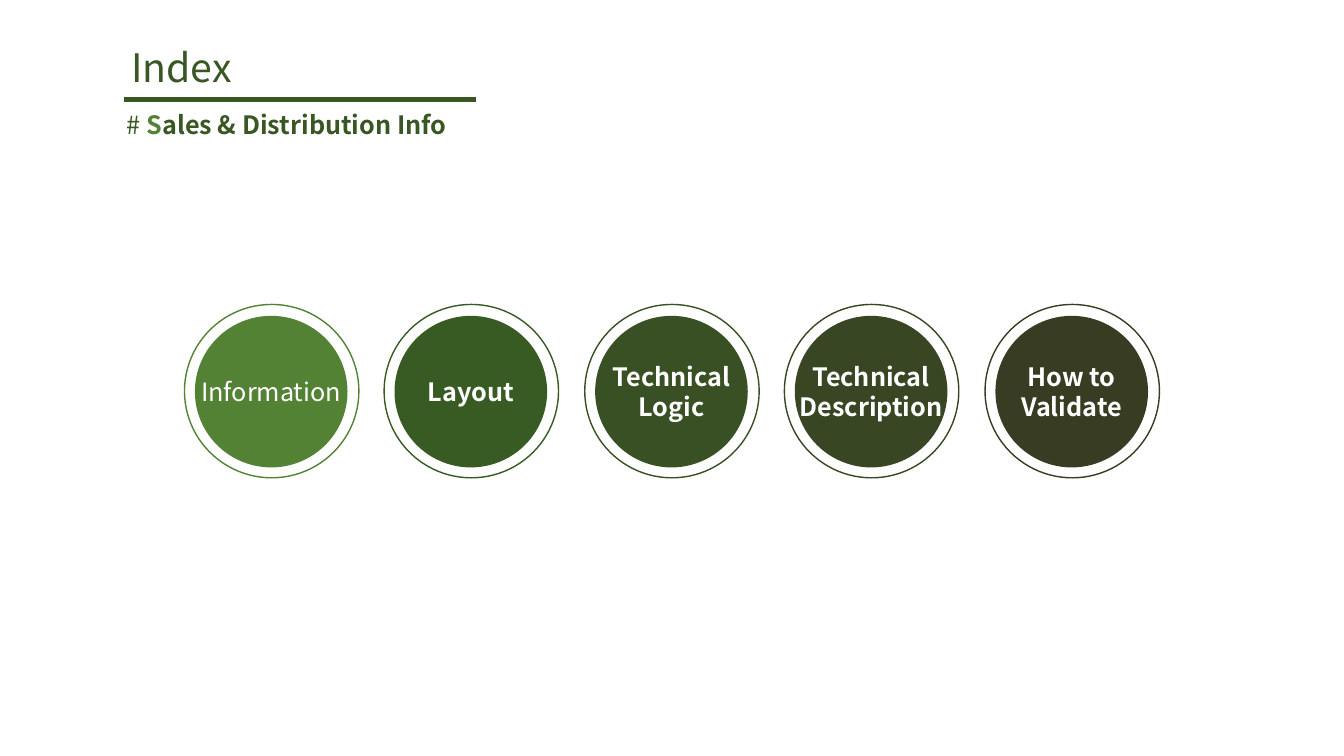
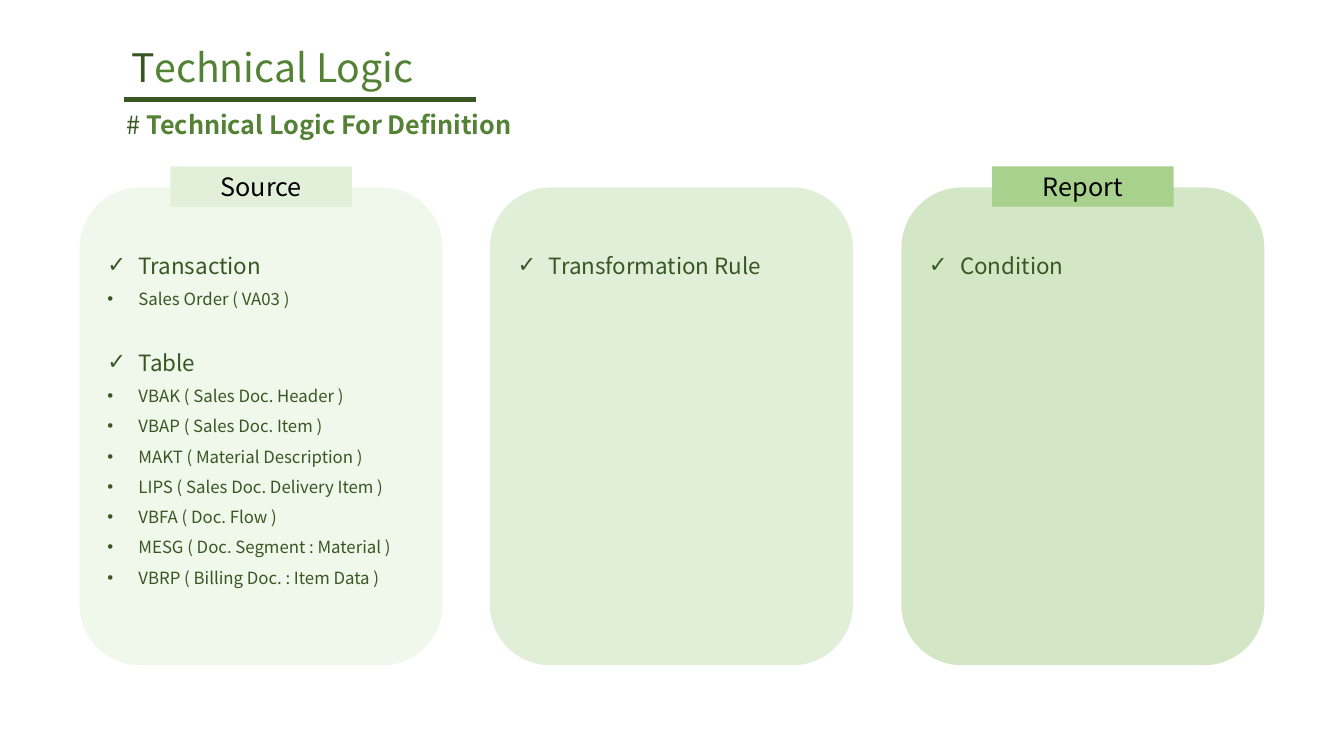
from lxml.etree import SubElement
from pptx import Presentation
from pptx.dml.color import RGBColor
from pptx.enum.shapes import MSO_CONNECTOR, MSO_SHAPE
from pptx.enum.text import MSO_ANCHOR, MSO_AUTO_SIZE, PP_ALIGN
from pptx.oxml.ns import qn
from pptx.util import Emu, Pt

FONT = "Noto Sans CJK KR"
DARK, GREEN, WHITE, BLACK = "385723", "548235", "FFFFFF", "000000"


def px(n):
    """100 px to the inch."""
    return Emu(n * 9144)


def hue(code):
    return RGBColor.from_string(code)


class Deck:
    def __init__(self, wide, high):
        self.prs = Presentation()
        self.prs.slide_width, self.prs.slide_height = px(wide), px(high)
        self.slide = None

    def style(self, run, size, color, bold=False):
        font = run.font
        font.name, font.size, font.bold = FONT, Pt(size), bold
        font.color.rgb = hue(color)

    def line_up(self, frame, parts, size):
        """Fill one left-aligned line with (text, colour, bold) parts."""
        frame.word_wrap = True
        frame.auto_size = MSO_AUTO_SIZE.NONE
        frame.vertical_anchor = MSO_ANCHOR.TOP
        para = frame.paragraphs[0]
        para.alignment = PP_ALIGN.LEFT
        for text, color, bold in parts:
            run = para.add_run()
            run.text = text
            self.style(run, size, color, bold)

    def page(self, title, sub):
        """Start a slide with its title, rule and subtitle."""
        self.slide = self.prs.slides.add_slide(self.prs.slide_layouts[5])
        head = self.slide.shapes.title
        head.left, head.top, head.width, head.height = map(px, (120, 38, 420, 57))
        self.line_up(head.text_frame, title, 28)
        self.rule(123, 472, 99)
        box = self.slide.shapes.add_textbox(*map(px, (116, 104, 450, 40)))
        self.line_up(box.text_frame, [("# ", DARK, False)] + sub, 18)

    def rule(self, left, right, y):
        line = self.slide.shapes.add_connector(
            MSO_CONNECTOR.STRAIGHT, px(left), px(y), px(right), px(y))
        line.line.color.rgb = hue(DARK)
        line.line.width = Pt(3.75)
        SubElement(line._element.spPr, qn("a:effectLst"))

    def shape(self, kind, area, fill=None, line=None, alpha=None):
        item = self.slide.shapes.add_shape(kind, *map(px, area))
        item.shadow.inherit = False
        if fill:
            item.fill.solid()
            item.fill.fore_color.rgb = hue(fill)
            if alpha:
                tint = item._element.spPr.find(".//" + qn("a:srgbClr"))
                SubElement(tint, qn("a:alpha"), val=str(alpha * 1000))
        else:
            item.fill.background()
        if line:
            item.line.color.rgb = hue(line)
            item.line.width = Pt(1)
        else:
            item.line.fill.background()
        return item

    def center(self, item, text, color, bold=False):
        frame = item.text_frame
        frame.text = text
        frame.word_wrap = False
        frame.vertical_anchor = MSO_ANCHOR.MIDDLE
        for para in frame.paragraphs:
            para.alignment = PP_ALIGN.CENTER
            for run in para.runs:
                self.style(run, 18, color, bold)

    def disc(self, left, top, text, color, bold):
        """A filled circle inside a thin ring."""
        self.shape(MSO_SHAPE.OVAL, (left, top, 173, 172), line=color)
        disc = self.shape(MSO_SHAPE.OVAL, (left + 11, top + 12, 150, 149), color, color)
        self.center(disc, text, WHITE, bold)

    def label(self, left, top, text, color):
        self.center(self.shape(MSO_SHAPE.RECTANGLE, (left, top, 180, 40), color), text, BLACK)

    def panel(self, left, top, color, groups):
        """A round panel of checked heads, each with dotted items."""
        item = self.shape(MSO_SHAPE.FLOWCHART_ALTERNATE_PROCESS,
                          (left, top, 360, 474), color, alpha=50)
        frame = item.text_frame
        frame.word_wrap = True
        frame.vertical_anchor = MSO_ANCHOR.TOP
        frame.margin_top = px(33)
        rows = []
        for i, (head, *items) in enumerate(groups):
            rows.append((head, "✓", 16, 19 if i else 0))
            rows += [(text, "•", 12, 0) for text in items]
        frame.text = "\n".join(row[0] for row in rows)
        for para, (_, mark, size, gap) in zip(frame.paragraphs, rows):
            para.alignment = PP_ALIGN.LEFT
            para.line_spacing = 1.5
            para.space_before = Pt(gap)
            self.style(para.runs[0], size, DARK)
            self.bullet(para, mark)

    def bullet(self, para, mark):
        props = para._p.get_or_add_pPr()
        props.set("marL", str(px(31)))
        props.set("indent", str(-px(31)))
        SubElement(props, qn("a:buFont"), typeface="Arial")
        SubElement(props, qn("a:buChar"), char=mark)


def main():
    deck = Deck(1333, 750)

    # Index: a row of five discs
    deck.page([("Index", DARK, False)],
              [("S", GREEN, True), ("ales & Distribution Info", DARK, True)])
    discs = [
        ("Information", GREEN, False),
        ("Layout", "385A23", True),
        ("Technical\nLogic", "385023", True),
        ("Technical\nDescription", "384623", True),
        ("How to\nValidate", "383C23", True),
    ]
    for i, (text, color, bold) in enumerate(discs):
        deck.disc(183 + 397 * i // 2, 302, text, color, bold)

    # Technical logic: three panels, two of them labelled
    deck.page([("T", DARK, False), ("echnical Logic", GREEN, False)],
              [("Technical Logic For Definition", GREEN, True)])
    source = [
        ("Transaction", "Sales Order ( VA03 )"),
        ("Table",
         "VBAK ( Sales Doc. Header )",
         "VBAP ( Sales Doc. Item )",
         "MAKT ( Material Description )",
         "LIPS ( Sales Doc. Delivery Item )",
         "VBFA ( Doc. Flow )",
         "MESG ( Doc. Segment : Material )",
         "VBRP ( Billing Doc. : Item Data )"),
    ]
    panels = [
        ("Source", "E2F0D9", source),
        (None, "C5E0B4", [("Transformation Rule",)]),
        ("Report", "A9D18E", [("Condition",)]),
    ]
    for i, (name, color, groups) in enumerate(panels):
        left = 79 + 815 * i // 2
        deck.panel(left, 186, color, groups)
        if name:
            deck.label(left + 90, 165, name, color)

    deck.prs.save("out.pptx")


if __name__ == "__main__":
    main()
